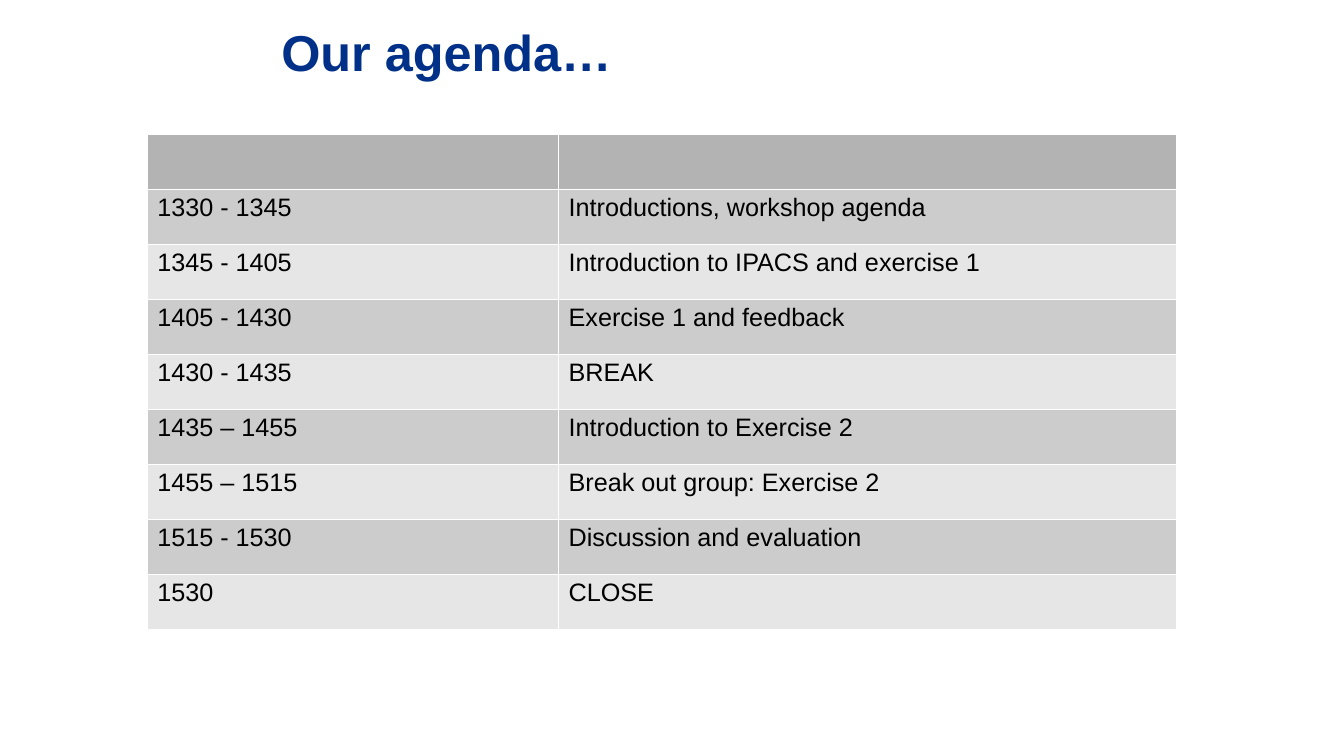
from dataclasses import dataclass

from lxml.etree import SubElement
from pptx import Presentation
from pptx.dml.color import RGBColor as Color
from pptx.enum.text import MSO_ANCHOR as Anchor, MSO_AUTO_SIZE as AutoSize, PP_ALIGN as Align
from pptx.oxml.ns import qn
from pptx.util import Inches, Pt


@dataclass(frozen=True)
class Theme:
    font: str = "Arial"
    title_size: int = 36
    body_size: int = 18
    title: str = "003087"
    text: str = "000000"
    header: str = "B3B3B3"
    bands: tuple = ("CCCCCC", "E6E6E6")
    border: str = "FFFFFF"
    border_width: float = 0.06


theme = Theme()


def add_run(paragraph, text, size, color, bold=False):
    run = paragraph.add_run()
    run.text = text
    run.font.name = theme.font
    run.font.size = Pt(size)
    run.font.bold = bold
    run.font.color.rgb = Color.from_string(color)


def style_cell(cell, fill):
    """Give a cell hairline borders on all sides and a solid fill."""
    properties = cell._tc.get_or_add_tcPr()
    for side in ("lnL", "lnR", "lnT", "lnB"):
        line = SubElement(properties, qn(f"a:{side}"), w=str(Pt(theme.border_width)))
        solid = SubElement(line, qn("a:solidFill"))
        SubElement(solid, qn("a:srgbClr"), val=theme.border)
    cell.fill.solid()
    cell.fill.fore_color.rgb = Color.from_string(fill)


presentation = Presentation()
presentation.slide_width = Inches(13.33)
presentation.slide_height = Inches(7.5)
slide = presentation.slides.add_slide(presentation.slide_layouts[5])

# Title
title = slide.shapes.title
title.left, title.top = Inches(2.79), Inches(0.2)
title.width, title.height = Inches(8.52), Inches(0.62)
frame = title.text_frame
frame.margin_left = frame.margin_top = frame.margin_right = frame.margin_bottom = 0
frame.vertical_anchor = Anchor.MIDDLE
frame.auto_size = AutoSize.NONE
frame.word_wrap = True
heading = frame.paragraphs[0]
heading.alignment = Align.LEFT
add_run(heading, "Our agenda…", theme.title_size, theme.title, bold=True)

# Agenda table: an empty header row, then banded rows
agenda = [
    ("", ""),
    ("1330 - 1345", "Introductions, workshop agenda"),
    ("1345 - 1405", "Introduction to IPACS and exercise 1"),
    ("1405 - 1430", "Exercise 1 and feedback"),
    ("1430 - 1435", "BREAK"),
    ("1435 – 1455", "Introduction to Exercise 2"),
    ("1455 – 1515", "Break out group: Exercise 2"),
    ("1515 - 1530", "Discussion and evaluation"),
    ("1530", "CLOSE"),
]
table_width, table_height = Inches(10.2), Inches(4.91)
column_shares = (0.4, 0.6)
table = slide.shapes.add_table(
    len(agenda), len(column_shares), Inches(1.46), Inches(1.33), table_width, table_height
).table
for column, share in zip(table.columns, column_shares):
    column.width = int(table_width * share)

for row_index, entries in enumerate(agenda):
    fill = theme.bands[(row_index - 1) % 2] if row_index else theme.header
    for column_index, text in enumerate(entries):
        cell = table.cell(row_index, column_index)
        style_cell(cell, fill)
        if text:
            add_run(cell.text_frame.paragraphs[0], text, theme.body_size, theme.text)

presentation.save("out.pptx")
